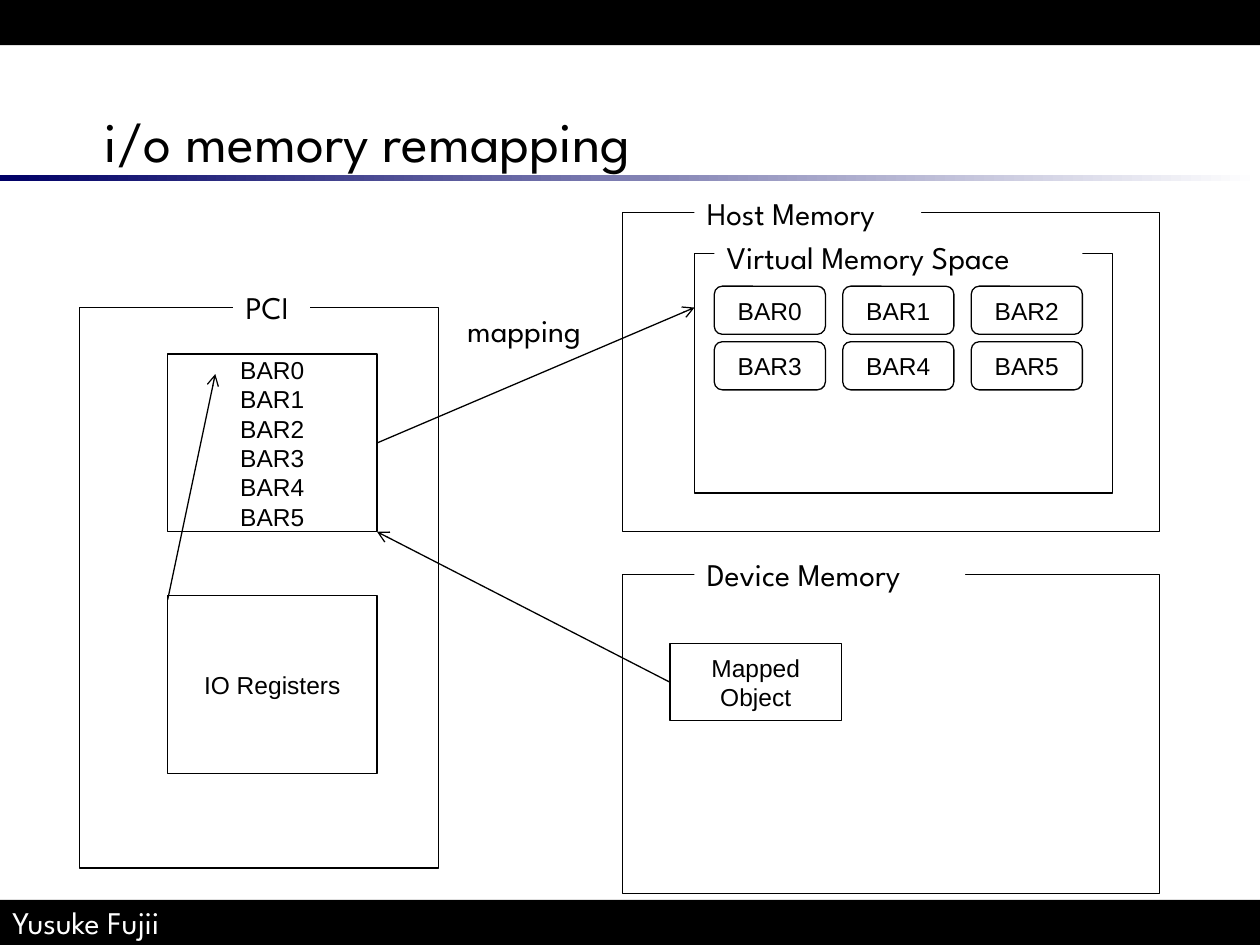
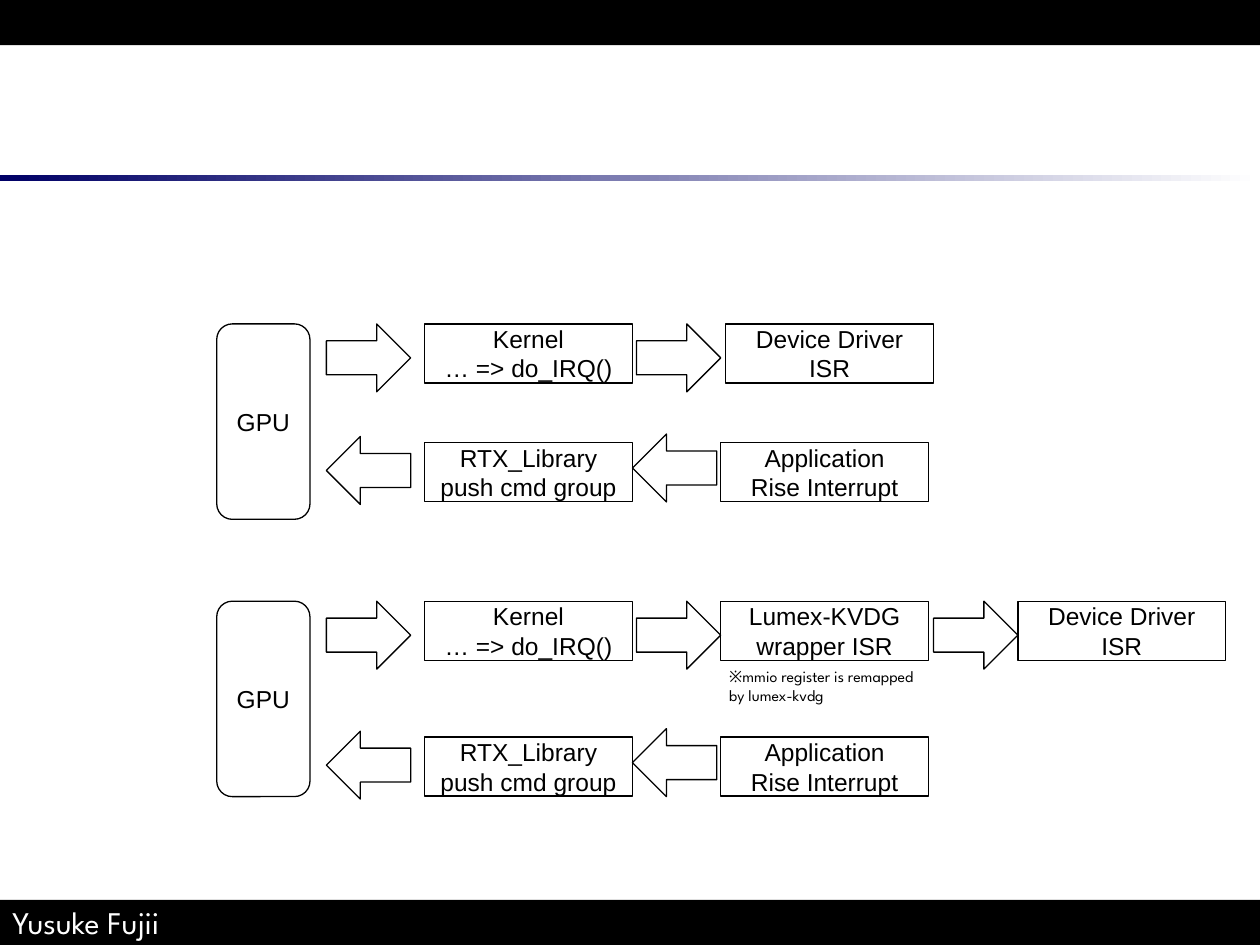
from dataclasses import dataclass

from lxml.etree import SubElement
from pptx import Presentation
from pptx.dml.color import RGBColor
from pptx.enum.shapes import MSO_CONNECTOR, MSO_SHAPE as Preset
from pptx.enum.text import MSO_ANCHOR as Anchor, PP_ALIGN as Align
from pptx.oxml.ns import qn
from pptx.util import Cm, Pt

BLACK, WHITE, NAVY = "000000", "FFFFFF", "000066"
SLIDE_WIDTH, SLIDE_HEIGHT, BAND_HEIGHT = 25.4, 19.05, 0.91

HEADING = {"name": "League Spartan", "size": Pt(32)}
LABEL = {"name": "League Spartan", "size": Pt(18)}
NOTE = {"name": "League Spartan", "size": Pt(9)}
BODY = {"name": "Arial", "size": Pt(14)}
NO_MARGINS = dict.fromkeys(("margin_left", "margin_top", "margin_right", "margin_bottom"), 0)


@dataclass(frozen=True)
class Box:
    """A place on the slide, in centimetres."""
    left: float
    top: float
    width: float
    height: float

    def lengths(self) -> tuple:
        return Cm(self.left), Cm(self.top), Cm(self.width), Cm(self.height)


@dataclass(frozen=True)
class Frame:
    """An outlined area whose title interrupts its top edge."""
    title: str
    box: Box
    title_left: float
    title_width: float
    title_rise: float = 0.51


@dataclass(frozen=True)
class Step:
    text: str
    left: float


@dataclass(frozen=True)
class Flow:
    """A row of steps with the block arrows between them."""
    top: float
    arrow_preset: Preset
    arrows: tuple[tuple[float, float], ...]  # left, rise above the row
    steps: tuple[Step, ...]


def rgb(colour: str) -> RGBColor:
    return RGBColor.from_string(colour)


def apply_format(target, values: dict) -> None:
    for attribute, value in values.items():
        setattr(target, attribute, value)


def write(shape, text: str, font: dict, colour: str = BLACK,
          align: Align = Align.LEFT, **frame_format) -> None:
    text_frame = shape.text_frame
    apply_format(text_frame, {"word_wrap": True, **frame_format})
    text_frame.text = text
    for paragraph in text_frame.paragraphs:
        paragraph.alignment = align
        apply_format(paragraph.font, font)
        paragraph.font.color.rgb = rgb(colour)


def add_text(slide, box: Box, text: str, font: dict, **frame_format) -> None:
    write(slide.shapes.add_textbox(*box.lengths()), text, font, **frame_format)


def add_plain(slide, box: Box, fill: str, preset: Preset = Preset.RECTANGLE):
    shape = slide.shapes.add_shape(preset, *box.lengths())
    shape.shadow.inherit = False
    shape.fill.solid()
    shape.fill.fore_color.rgb = rgb(fill)
    shape.line.fill.background()
    return shape


def add_outlined(slide, box: Box, text: str = "", preset: Preset = Preset.RECTANGLE):
    shape = add_plain(slide, box, WHITE, preset)
    shape.line.color.rgb = rgb(BLACK)
    shape.line.width = Pt(0.75)
    if text:
        write(shape, text, BODY, align=Align.CENTER, vertical_anchor=Anchor.MIDDLE)
    return shape


def add_frame(slide, frame: Frame) -> None:
    add_outlined(slide, frame.box)
    title_box = Box(frame.title_left, frame.box.top - frame.title_rise, frame.title_width, 1.02)
    write(add_plain(slide, title_box, WHITE), frame.title, LABEL, vertical_anchor=Anchor.TOP)


def add_arrow(slide, start: tuple[float, float], end: tuple[float, float]):
    arrow = slide.shapes.add_connector(
        MSO_CONNECTOR.STRAIGHT, *(Cm(value) for value in start + end))
    arrow.line.color.rgb = rgb(BLACK)
    arrow.line.width = Pt(0.75)
    SubElement(arrow.line._get_or_add_ln(), qn("a:tailEnd"), type="arrow")
    SubElement(arrow._element.spPr, qn("a:effectLst"))
    return arrow


def add_base_slide(presentation, title: str = ""):
    """Add a blank slide with the bands, the fading rule and an optional title."""
    slide = presentation.slides.add_slide(presentation.slide_layouts[6])
    rule = add_plain(slide, Box(0, 3.53, SLIDE_WIDTH, 0.13), NAVY)
    rule.fill.gradient()
    rule.fill.gradient_angle = 0
    for stop, colour in zip(rule.fill.gradient_stops, (NAVY, WHITE)):
        stop.color.rgb = rgb(colour)
    footer_box = Box(0, SLIDE_HEIGHT - BAND_HEIGHT, SLIDE_WIDTH, BAND_HEIGHT)
    write(add_plain(slide, footer_box, BLACK), "Yusuke Fujii", LABEL, WHITE,
          vertical_anchor=Anchor.MIDDLE)
    add_plain(slide, Box(0, 0, SLIDE_WIDTH, BAND_HEIGHT), BLACK)
    if title:
        add_text(slide, Box(2.11, 1.12, 22.61, 2.39), title, HEADING,
                 vertical_anchor=Anchor.BOTTOM, **NO_MARGINS)
    return slide


FRAMES = (
    Frame("PCI", Box(1.6, 6.2, 7.24, 11.3), 4.7, 1.55),
    Frame("Host Memory", Box(12.55, 4.29, 10.82, 6.43), 14, 4.57),
    Frame("Virtual Memory Space", Box(14, 5.11, 8.43, 4.83), 14.4, 7.42, 0.44),
    Frame("Device Memory", Box(12.55, 11.58, 10.82, 6.43), 14, 5.46),
)


def build_remapping_slide(presentation) -> None:
    slide = add_base_slide(presentation, "i/o memory remapping")
    for frame in FRAMES:
        add_frame(slide, frame)

    bars = [f"BAR{number}" for number in range(6)]
    bar_list = add_outlined(slide, Box(3.38, 7.14, 4.22, 3.58), "\n".join(bars))
    add_outlined(slide, Box(3.38, 12.01, 4.22, 3.58), "IO Registers")
    mapped_object = add_outlined(slide, Box(13.51, 12.98, 3.45, 1.55), "Mapped Object")
    for index, bar in enumerate(bars):
        row, column = divmod(index, 3)
        add_outlined(slide, Box(14.4 + 2.59 * column, 5.77 + 1.12 * row, 2.24, 0.97),
                     bar, Preset.ROUNDED_RECTANGLE)

    add_text(slide, Box(9.17, 6.15, 3.38, 1.02), "mapping", LABEL)
    add_arrow(slide, (7.6, 8.93), (14, 6.2)).begin_connect(bar_list, 3)
    add_arrow(slide, (3.38, 12.09), (4.34, 7.54))
    add_arrow(slide, (13.51, 13.76), (7.6, 10.72)).begin_connect(mapped_object, 1)


SECOND, THIRD, FOURTH = 8.56, 14.53, 20.52
KERNEL = Step("Kernel\n… => do_IRQ()", SECOND)
DRIVER = "Device Driver\nISR"
COMMAND_STEPS = (Step("RTX_Library\npush cmd group", SECOND),
                 Step("Application\nRise Interrupt", THIRD))
INTERRUPT_ARROWS = ((6.58, 0), (12.83, 0))
COMMAND_ARROWS = ((6.58, 0.12), (12.75, 0.17))

FLOWS = (
    Flow(6.53, Preset.RIGHT_ARROW, INTERRUPT_ARROWS, (KERNEL, Step(DRIVER, 14.63))),
    Flow(8.92, Preset.LEFT_ARROW, COMMAND_ARROWS, COMMAND_STEPS),
    Flow(12.12, Preset.RIGHT_ARROW, INTERRUPT_ARROWS + ((18.82, 0),),
         (KERNEL, Step("Lumex-KVDG\nwrapper ISR", THIRD), Step(DRIVER, FOURTH))),
    Flow(14.86, Preset.LEFT_ARROW, COMMAND_ARROWS, COMMAND_STEPS),
)


def build_interrupt_slide(presentation) -> None:
    slide = add_base_slide(presentation)
    for flow in FLOWS:
        if flow.arrow_preset == Preset.RIGHT_ARROW:
            add_outlined(slide, Box(4.37, flow.top, 1.88, 3.94), "GPU",
                         Preset.ROUNDED_RECTANGLE)
        for step in flow.steps:
            add_outlined(slide, Box(step.left, flow.top, 4.19, 1.19), step.text)
        for left, rise in flow.arrows:
            add_outlined(slide, Box(left, flow.top - rise, 1.7, 1.37),
                         preset=flow.arrow_preset)
    add_text(slide, Box(14.45, 13.31, 4.98, 1.02),
             "※mmio register is remapped\nby lumex-kvdg", NOTE)


def main() -> None:
    presentation = Presentation()
    presentation.slide_width = Cm(SLIDE_WIDTH)
    presentation.slide_height = Cm(SLIDE_HEIGHT)
    build_remapping_slide(presentation)
    build_interrupt_slide(presentation)
    presentation.save("out.pptx")


if __name__ == "__main__":
    main()
